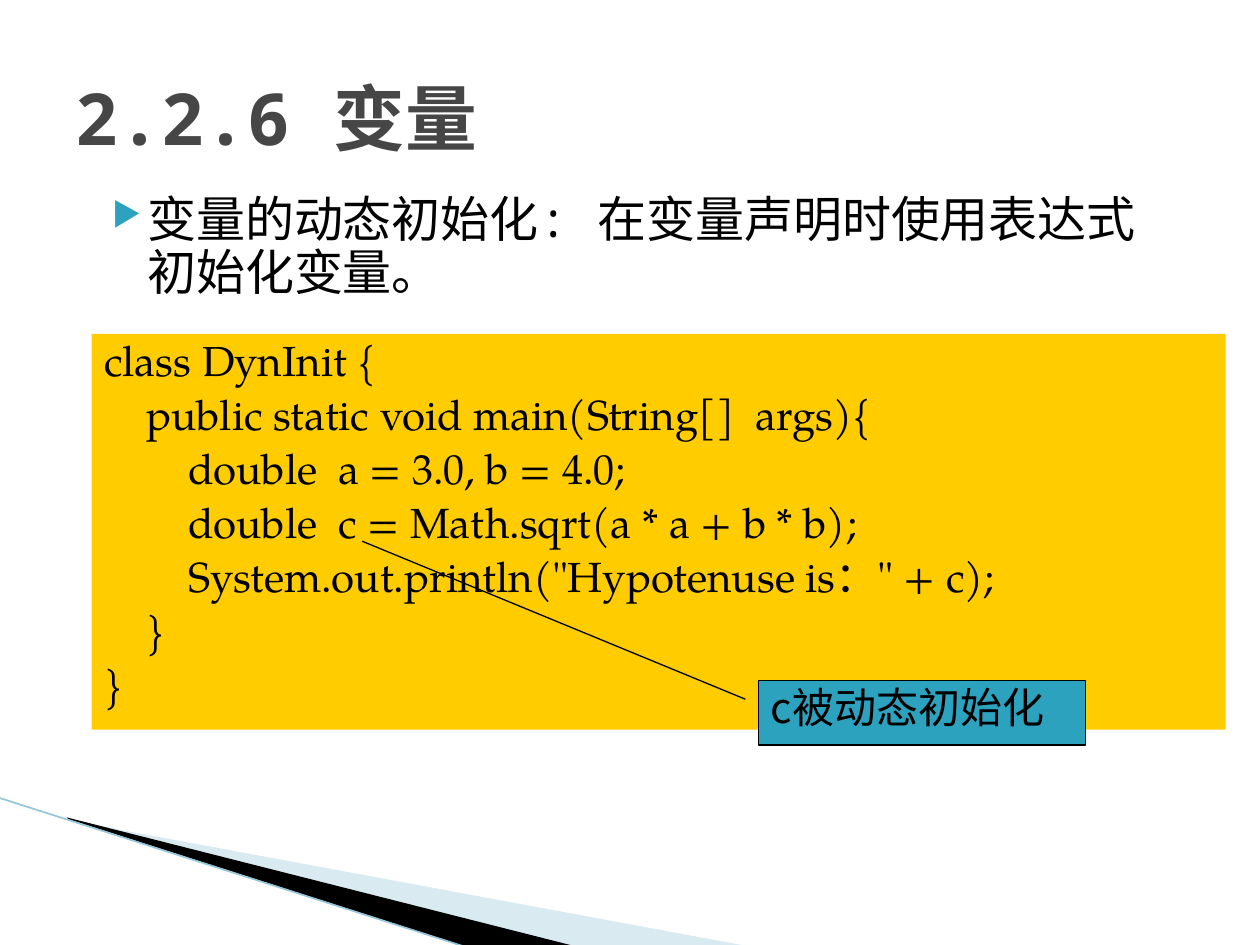
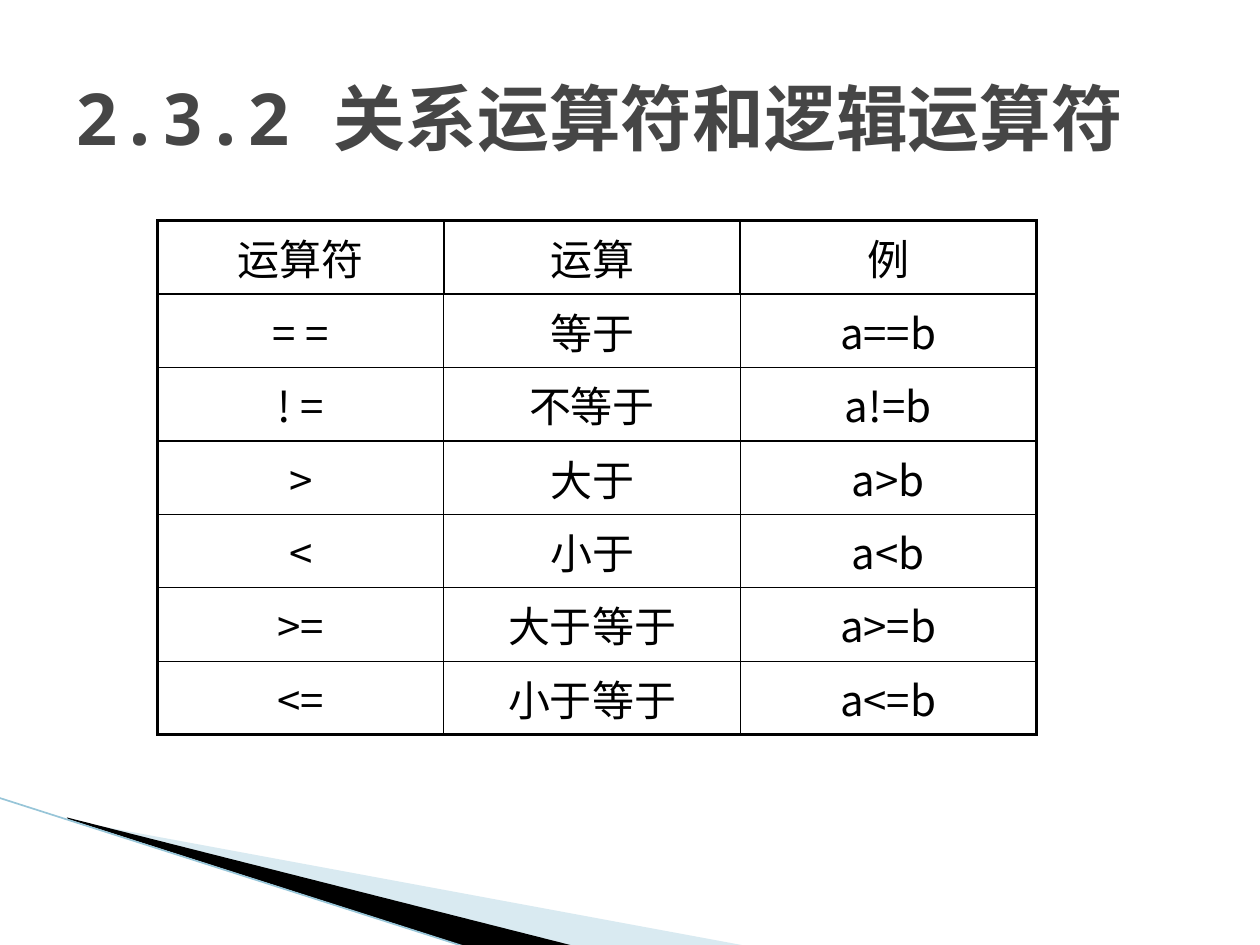
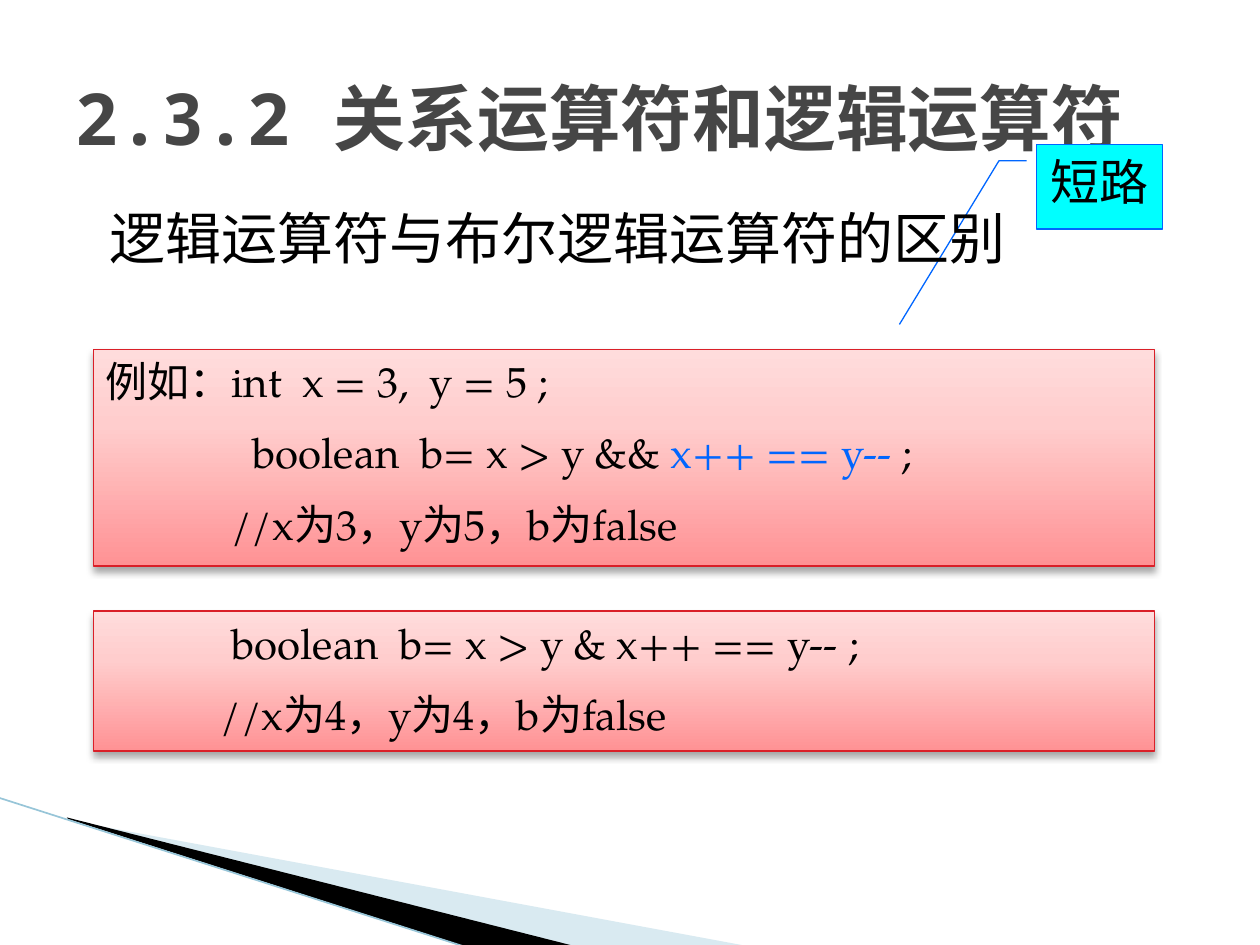
from copy import deepcopy
from dataclasses import dataclass

from lxml.etree import SubElement
from pptx import Presentation
from pptx.dml.color import RGBColor
from pptx.enum.shapes import MSO_CONNECTOR, MSO_SHAPE
from pptx.enum.text import MSO_ANCHOR, PP_ALIGN
from pptx.oxml.ns import qn
from pptx.util import Cm, Pt


@dataclass(frozen=True)
class Theme:
    ink: str = "000000"
    title: str = "464646"
    wing: str = "A0CBDC"
    edge: str = "97C5D8"
    teal: str = "2DA2BF"
    gold: str = "FFCC00"
    aqua: str = "00FFFF"
    blue: str = "0066FF"
    red: str = "DA1F28"
    fade: tuple = ((0, "FF9294"), (0.65, "FFCDCD"), (1, "FFDCDC"))
    mono: str = "Noto Sans Mono"
    sans: str = "Noto Sans CJK SC"
    serif: str = "TeX Gyre Pagella"
    head: int = 41
    lead: int = 32
    body: int = 28
    code: int = 24


look = Theme()


def write(para, text, size, face, hue=look.ink, bold=False, align=PP_ALIGN.LEFT):
    for part in [text] if isinstance(text, str) else text:
        para.add_run().text = part
    para.alignment = align
    font = para.font
    font.name, font.size, font.bold = face, Pt(size), bold
    font.color.rgb = RGBColor.from_string(hue)
    SubElement(para._p.pPr.find(qn("a:defRPr")), qn("a:ea"), typeface=look.sans)


def block(page, place, fill, line=None, kind=MSO_SHAPE.RECTANGLE, bends=()):
    shape = page.shapes.add_shape(kind, *map(Cm, place))
    shape.shadow.inherit = False
    shape.fill.solid()
    shape.fill.fore_color.rgb = RGBColor.from_string(fill)
    if line:
        shape.line.color.rgb = RGBColor.from_string(line)
        shape.line.width = Pt(0.75)
    else:
        shape.line.fill.background()
    for i, bend in enumerate(bends):
        shape.adjustments[i] = bend
    shape.text_frame.vertical_anchor = MSO_ANCHOR.TOP
    return shape


deck = Presentation()
deck.slide_width, deck.slide_height = Cm(25.4), Cm(19.05)

wings = [
    (look.wing, 40, [(1.4, 16.54), (15.11, 19.08), (11.58, 19.08), (1.4, 16.51)]),
    (look.ink, 100, [(1.35, 16.48), (11.61, 19.08), (9.45, 19.1), (1.37, 16.51)]),
]
heads = ["2.2.6 变量", "2.3.2 关系运算符和逻辑运算符", "2.3.2 关系运算符和逻辑运算符"]
pages = []
for head in heads:
    page = deck.slides.add_slide(deck.slide_layouts[6])
    pages.append(page)
    for hue, alpha, dots in wings:
        dots = [(Cm(x), Cm(y)) for x, y in dots]
        pen = page.shapes.build_freeform(*dots[0])
        pen.add_line_segments(dots[1:], close=True)
        wing = pen.convert_to_shape()
        wing.shadow.inherit = False
        wing.fill.solid()
        wing.fill.fore_color.rgb = RGBColor.from_string(hue)
        wing.line.fill.background()
        if alpha < 100:
            tint = wing._element.spPr.find(qn("a:solidFill"))[0]
            SubElement(tint, qn("a:alpha"), val=str(alpha * 1000))
    edge = page.shapes.add_connector(
        MSO_CONNECTOR.STRAIGHT, Cm(-0.03), Cm(16.08), Cm(9.42), Cm(19.1))
    edge.line.color.rgb = RGBColor.from_string(look.edge)
    edge.line.width = Pt(0.95)
    SubElement(edge._element.spPr, qn("a:effectLst"))
    frame = page.shapes.add_textbox(Cm(1.27), Cm(0.76), Cm(22.86), Cm(3.18)).text_frame
    frame.word_wrap = True
    frame.vertical_anchor = MSO_ANCHOR.MIDDLE
    write(frame.paragraphs[0], head, look.head, look.mono, look.title, True)

first, second, third = pages

frame = first.shapes.add_textbox(Cm(1.7), Cm(3.81), Cm(22.02), Cm(2.11)).text_frame
frame.word_wrap = True
para = frame.paragraphs[0]
para.line_spacing = 0.9
props = para._p.get_or_add_pPr()
props.set("marL", str(Cm(1.02)))
props.set("indent", str(Cm(-0.71)))
SubElement(SubElement(props, qn("a:buClr")), qn("a:srgbClr"), val=look.teal)
SubElement(props, qn("a:buSzPct"), val="68000")
SubElement(props, qn("a:buChar"), char="▶")
write(para, ["变量的动态初始化", ": ", "在变量声明时使用表达式初始化变量。"],
      look.body, look.sans)
para.runs[1].font.name = look.mono

code = [
    "class DynInit {",
    "    public static void main(String[]  args){",
    "        double  a = 3.0, b = 4.0;",
    "        double  c = Math.sqrt(a * a + b * b);",
    "        System.out.println(\"Hypotenuse is：\" + c);",
    "    }",
    "}",
]
frame = block(first, (1.85, 6.73, 22.86, 7.98), look.gold).text_frame
for i, line in enumerate(code):
    para = frame.add_paragraph() if i else frame.paragraphs[0]
    para.line_spacing = 0.9
    if i:
        para.space_before = Pt(5)
    write(para, line, look.code, look.serif)

note = block(first, (15.29, 13.72, 6.6, 1.3), look.teal, look.ink,
             MSO_SHAPE.LINE_CALLOUT_2, (0.29, -0.04, 0.29, -0.04, -2.16, -1.21))
para = note.text_frame.paragraphs[0]
para.line_spacing = 0.9
write(para, "c被动态初始化", look.code, look.sans)

rows = [
    ("运算符", "运算", "例"),
    ("= =", "等于", "a==b"),
    ("! =", "不等于", "a!=b"),
    (">", "大于", "a>b"),
    ("<", "小于", "a<b"),
    (">=", "大于等于", "a>=b"),
    ("<=", "小于等于", "a<=b"),
]
wide = (5.77, 5.97, 5.97)
high = 1.48
table = second.shapes.add_table(
    len(rows), len(wide), Cm(3.18), Cm(4.45), Cm(sum(wide)), Cm(high * len(rows))).table
table.first_row = table.horz_banding = False
for col, size in zip(table.columns, wide):
    col.width = Cm(size)
for r, row in enumerate(rows):
    table.rows[r].height = Cm(high)
    for c, text in enumerate(row):
        cell = table.cell(r, c)
        cell.vertical_anchor = MSO_ANCHOR.MIDDLE
        thin = 0.75 if r else 1
        sides = {
            "L": thin if c else 2.25,
            "R": thin if c < len(wide) - 1 else 2.25,
            "T": 2.25 if r == 0 else 1 if r == 1 else 0.75,
            "B": 2.25 if r == len(rows) - 1 else thin,
        }
        props = cell._tc.get_or_add_tcPr()
        for side, size in sides.items():
            rule = SubElement(props, qn("a:ln" + side), w=str(Pt(size)))
            SubElement(SubElement(rule, qn("a:solidFill")), qn("a:srgbClr"), val=look.ink)
        cell.fill.background()
        write(cell.text_frame.paragraphs[0], text, look.code, look.sans,
              align=PP_ALIGN.CENTER)

cases = [
    (12.32, 2.82, [
        "\tboolean  b= x > y & x++ == y-- ;",
        "           //x为4，y为4，b为false",
    ]),
    (7.04, 4.37, [
        "例如：int  x = 3,  y = 5 ;",
        ["\t  boolean  b= x > y && ", "x++ == y--", " ;"],
        "            //x为3，y为5，b为false",
    ]),
]
for top, tall, lines in cases:
    box = block(third, (1.88, top, 21.39, tall), look.red, look.red)
    box.fill.gradient()
    box.fill.gradient_angle = 90
    props = box._element.spPr
    stops = props.find(qn("a:gradFill")).find(qn("a:gsLst"))
    stops.append(deepcopy(stops[0]))
    for stop, (at, hue) in zip(box.fill.gradient_stops, look.fade):
        stop.position = at
        stop.color.rgb = RGBColor.from_string(hue)
    shade = SubElement(props.find(qn("a:effectLst")), qn("a:outerShdw"),
                       blurRad=str(Pt(4)), dist=str(Pt(3)), dir="5400000", rotWithShape="0")
    tint = SubElement(shade, qn("a:srgbClr"), val=look.ink)
    SubElement(tint, qn("a:alpha"), val="35000")
    frame = box.text_frame
    for i, line in enumerate(lines):
        para = frame.add_paragraph() if i else frame.paragraphs[0]
        if i:
            para.space_before = Pt(12)
        tabs = SubElement(para._p.get_or_add_pPr(), qn("a:tabLst"))
        SubElement(tabs, qn("a:tab"), pos=str(Cm(2.54)), algn="l")
        write(para, line, look.code, look.serif)
        if len(para.runs) > 1:
            para.runs[1].font.color.rgb = RGBColor.from_string(look.blue)

note = block(third, (20.9, 2.92, 2.54, 1.7), look.aqua, look.blue,
             MSO_SHAPE.LINE_CALLOUT_2, (0.19, -0.08, 0.19, -0.3, 2.13, -1.09))
write(note.text_frame.paragraphs[0], "短路", look.body, look.mono, align=PP_ALIGN.CENTER)

frame = third.shapes.add_textbox(Cm(1.96), Cm(4.14), Cm(18.75), Cm(1.5)).text_frame
frame.word_wrap = False
para = frame.paragraphs[0]
para.line_spacing = 0.9
write(para, "逻辑运算符与布尔逻辑运算符的区别", look.lead, look.sans)

deck.save("out.pptx")
